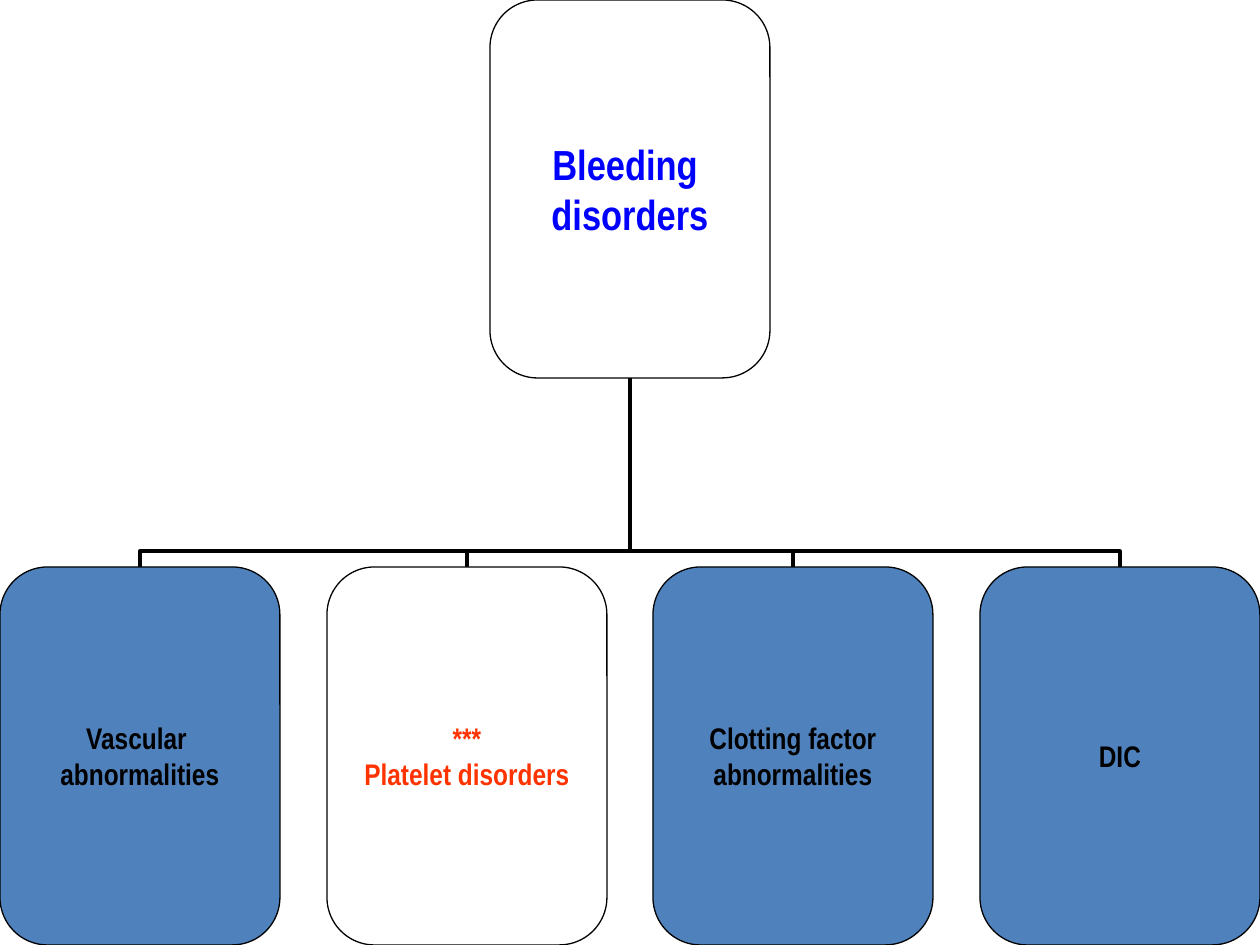
from dataclasses import dataclass

from lxml import etree
from pptx import Presentation
from pptx.dml.color import RGBColor
from pptx.enum.shapes import MSO_CONNECTOR, MSO_SHAPE
from pptx.enum.text import MSO_ANCHOR, PP_ALIGN
from pptx.oxml.ns import qn
from pptx.util import Emu, Pt

ELBOW = MSO_CONNECTOR.ELBOW
ROUNDED = MSO_SHAPE.ROUNDED_RECTANGLE
MIDDLE = MSO_ANCHOR.MIDDLE
CENTER = PP_ALIGN.CENTER

PX = 914400 / 126
PAGE_WIDTH, PAGE_HEIGHT = 1260, 945
BOX_WIDTH, BOX_HEIGHT = 280, 378
CHILD_TOP = PAGE_HEIGHT - BOX_HEIGHT
PARENT_LEFT = (PAGE_WIDTH - BOX_WIDTH) // 2
BUS_RISE = 8300
FONT = "Arial Narrow"
COLORS = {
    "white": "FFFFFF",
    "blue": "4F81BD",
    "black": "000000",
    "heading": "0000FF",
    "accent": "FF3300",
}


@dataclass
class Node:
    lines: tuple[str, ...]
    fill: str = "blue"
    color: str = "black"
    size: int = 17


PARENT = Node(("Bleeding ", "disorders"), "white", "heading", 24)
CHILDREN = (
    Node(("Vascular ", "abnormalities")),
    Node(("***", "Platelet disorders"), "white", "accent"),
    Node(("Clotting factor", "abnormalities")),
    Node(("DIC",)),
)


def px(length: float) -> Emu:
    return Emu(round(length * PX))


def rgb(name: str) -> RGBColor:
    return RGBColor.from_string(COLORS[name])


def draw_node(page, node: Node, left: int, top: int) -> None:
    box = page.shapes.add_shape(ROUNDED, px(left), px(top), px(BOX_WIDTH), px(BOX_HEIGHT))
    box.shadow.inherit = False
    box.adjustments[0] = 0.17
    box.fill.solid()
    box.fill.fore_color.rgb = rgb(node.fill)
    box.line.color.rgb = rgb("black")
    box.line.width = Pt(0.75)
    frame = box.text_frame
    frame.word_wrap = False
    frame.vertical_anchor = MIDDLE
    frame.margin_left = frame.margin_right = 0
    frame.margin_top = frame.margin_bottom = 0
    for index, line in enumerate(node.lines):
        para = frame.add_paragraph() if index else frame.paragraphs[0]
        para.alignment = CENTER
        span = para.add_run()
        span.text = line
        span.font.name = FONT
        span.font.size = Pt(node.size)
        span.font.bold = True
        span.font.color.rgb = rgb(node.color)


def draw_branch(page, child_center: int) -> None:
    parent_center = PAGE_WIDTH // 2
    rise = CHILD_TOP - BOX_HEIGHT
    reach = abs(parent_center - child_center)
    middle_x = (parent_center + child_center) / 2
    middle_y = (CHILD_TOP + BOX_HEIGHT) / 2
    from_right = child_center > parent_center
    half = rise / 2 if from_right else -rise / 2
    branch = page.shapes.add_connector(
        ELBOW,
        px(middle_x + half), px(middle_y - reach / 2),
        px(middle_x - half), px(middle_y + reach / 2),
    )
    branch.line.color.rgb = rgb("black")
    branch.line.width = Pt(2.25)
    properties = branch._element.spPr
    turn = 90 if from_right else 270
    properties.find(qn("a:xfrm")).set("rot", str(turn * 60000))
    guides = properties.find(qn("a:prstGeom")).find(qn("a:avLst"))
    etree.SubElement(guides, qn("a:gd"), name="adj1", fmla=f"val {BUS_RISE}")
    etree.SubElement(properties, qn("a:effectLst"))


def main() -> None:
    deck = Presentation()
    deck.slide_width = px(PAGE_WIDTH)
    deck.slide_height = px(PAGE_HEIGHT)
    page = deck.slides.add_slide(deck.slide_layouts[6])
    step = (PAGE_WIDTH - BOX_WIDTH) / (len(CHILDREN) - 1)
    lefts = [round(index * step) for index in range(len(CHILDREN))]
    for left in reversed(lefts):
        draw_branch(page, left + BOX_WIDTH // 2)
    draw_node(page, PARENT, PARENT_LEFT, 0)
    for node, left in zip(CHILDREN, lefts):
        draw_node(page, node, left, CHILD_TOP)
    deck.save("out.pptx")


if __name__ == "__main__":
    main()
